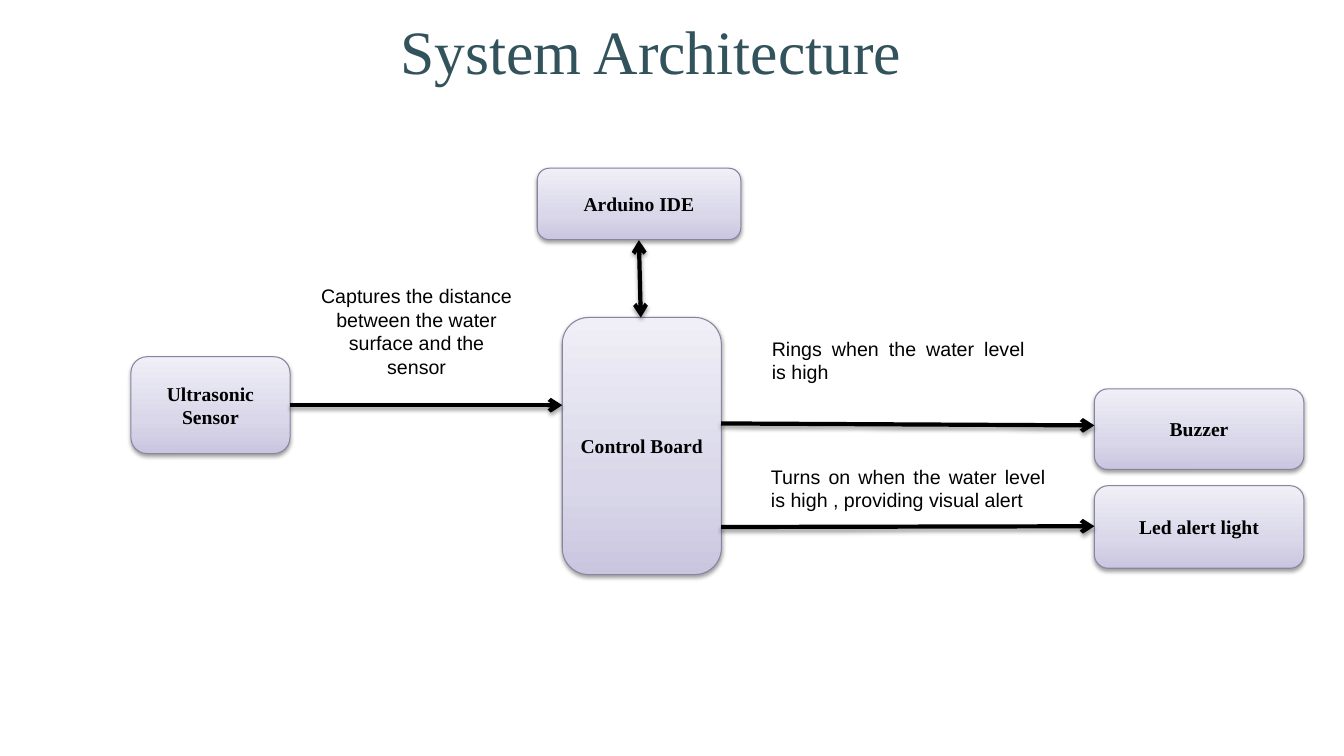
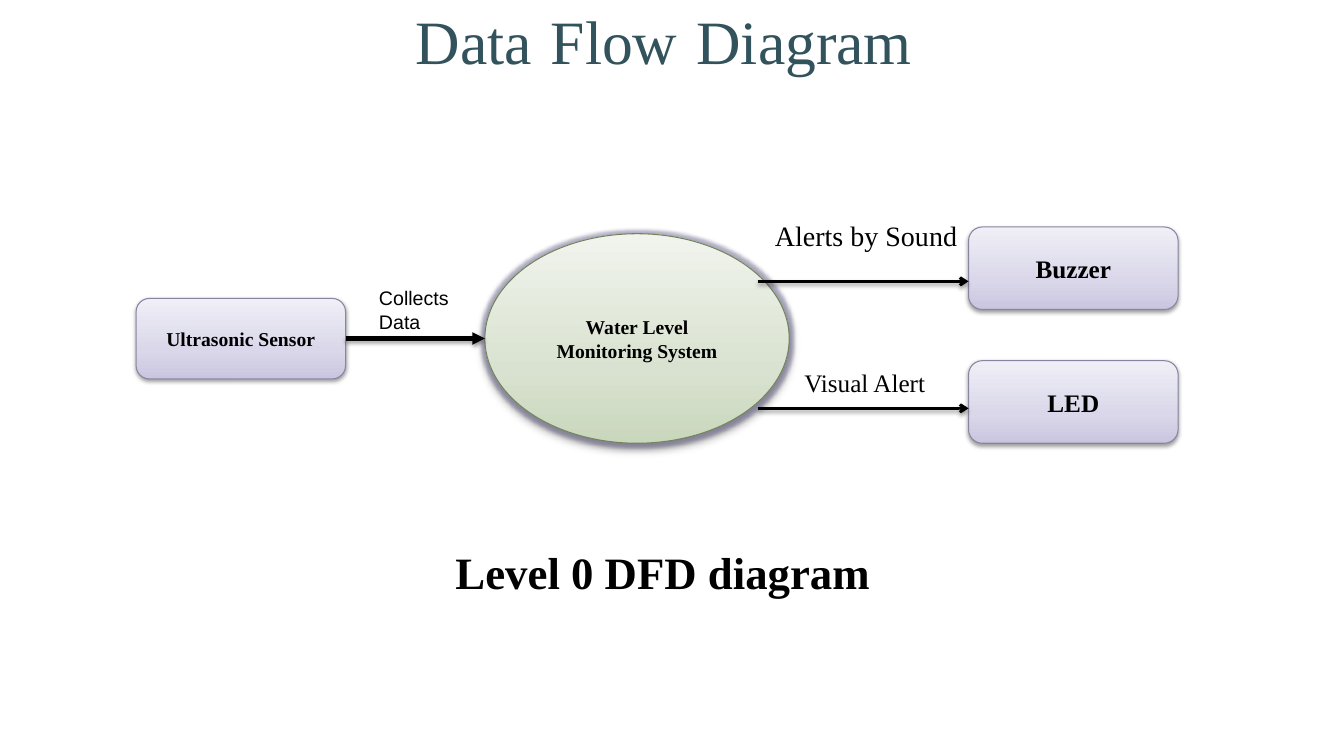
from copy import deepcopy
from pptx import Presentation
from pptx.dml.color import RGBColor
from pptx.enum.shapes import MSO_CONNECTOR as Conn, MSO_SHAPE as Kind
from pptx.enum.text import MSO_ANCHOR as Anchor, MSO_AUTO_SIZE as Fit, PP_ALIGN as Align
from pptx.oxml import parse_xml
from pptx.oxml.ns import nsdecls, qn
from pptx.util import Cm, Pt

SERIF, SANS = "Times New Roman", "Arial"
INK, TEAL = "000000", "32525C"
# Gradient stops from the bottom up, then the outline
LILAC = ("CAC6E0", "D9D7E9", "F0EFF7", "8985A1")
GREEN = ("C9D7BC", "D9E2D0", "F1F4ED", "72835D")
STOPS = (0, 0.35, 1)
GLOW = '<a:glow rad="63500"><a:srgbClr val="6A6590"><a:alpha val="45000"/></a:srgbClr></a:glow>'
SHADE = (
    f'<a:effectLst {nsdecls("a")}>%s'
    '<a:outerShdw blurRad="%d" dist="%d" dir="5400000" rotWithShape="0">'
    '<a:srgbClr val="000000"><a:alpha val="38000"/></a:srgbClr>'
    '</a:outerShdw></a:effectLst>'
)


def tint(code):
    return RGBColor.from_string(code)


def write(frame, text, size=14, font=SERIF, color=INK, bold=False,
          align=Align.LEFT, anchor=Anchor.TOP, wrap=True, lead=None, gap=None):
    """Fill a frame with one paragraph; gap is the size of the word spaces."""
    frame.word_wrap = wrap
    frame.auto_size = Fit.NONE
    frame.vertical_anchor = anchor
    para = frame.paragraphs[0]
    para.alignment = align
    para.line_spacing = lead
    for part in text.replace(" ", "| |").split("|") if gap else [text]:
        run = para.add_run()
        run.text = part
        run.font.name = font
        run.font.size = Pt(gap if part == " " else size)
        run.font.bold = bold
        run.font.color.rgb = tint(color)


BOX, OVAL, ALT = Kind.ROUNDED_RECTANGLE, Kind.OVAL, Kind.FLOWCHART_ALTERNATE_PROCESS
NOTE = dict(font=SANS)
SIDE = dict(font=SANS, align=Align.JUSTIFY)

# Places are left, top, width, height in cm; arrows run from x, y to x, y.
PAGES = [
    dict(
        title="System Architecture", place=(1.45, 0.41, 29.92, 2.01), gap=None,
        boxes=[
            ("Control Board", ALT, (14.17, 8, 4.01, 6.48), 14),
            ("Ultrasonic Sensor", BOX, (3.3, 8.99, 4.01, 2.44), 14),
            ("Buzzer", BOX, (27.58, 9.8, 5.28, 2.03), 14),
            ("Led alert light", BOX, (27.58, 12.24, 5.28, 2.08), 14),
            ("Arduino IDE", BOX, (13.54, 4.24, 5.13, 1.8), 14),
        ],
        arrows=[
            ((7.3, 10.21, 14.17, 10.21), 3, "none", "arrow"),
            ((18.17, 10.67, 27.58, 10.72), 3, "none", "arrow"),
            ((18.17, 13.28, 27.58, 13.26), 3, "none", "arrow"),
            ((16.1, 6.05, 16.15, 8), 3, "arrow", "arrow"),
        ],
        notes=[
            ("Captures the distance between the water surface and the sensor",
             (7.82, 7.04, 5.36, 2.64), dict(font=SANS, align=Align.CENTER)),
            ("Rings when the water level is high", (19.2, 8.36, 6.88, 1.45), SIDE),
            ("Turns on when the water level is high , providing visual alert",
             (19.18, 11.58, 7.42, 1.45), SIDE),
        ],
    ),
    dict(
        title="Data Flow Diagram", place=(-0.2, -1.27, 33.86, 4.65), gap=54,
        boxes=[
            ("Ultrasonic Sensor", BOX, (3.43, 7.52, 5.28, 2.03), 14),
            ("LED", BOX, (24.41, 9.09, 5.28, 2.08), 18),
            ("Buzzer", BOX, (24.41, 5.72, 5.28, 2.08), 18),
            ("Water Level Monitoring System", OVAL, (12.22, 5.89, 7.67, 5.28), 14),
        ],
        arrows=[
            ((8.71, 8.53, 12.22, 8.53), 3, "none", "triangle"),
            ((19.1, 7.09, 24.41, 7.09), 2, "none", "arrow"),
            ((19.1, 10.29, 24.41, 10.29), 2, "none", "arrow"),
        ],
        notes=[
            ("Level 0 DFD diagram", (11.23, 13.59, 11.4, 1.63), dict(size=32, bold=True)),
            ("Collects Data", (9.3, 7.09, 2.34, 1.45), NOTE),
            ("Alerts by Sound", (19.28, 5.38, 5.13, 1.12), dict(size=20, wrap=False)),
            ("Visual Alert", (20.02, 9.12, 3.66, 1.02), dict(size=18, wrap=False)),
        ],
    ),
]

deck = Presentation()
deck.slide_width, deck.slide_height = Cm(33.87), Cm(19.05)

for page in PAGES:
    slide = deck.slides.add_slide(deck.slide_layouts[5])
    shapes = slide.shapes

    title = shapes.title
    title.left, title.top, title.width, title.height = map(Cm, page["place"])
    write(title.text_frame, page["title"], size=44, color=TEAL, align=Align.CENTER,
          anchor=Anchor.MIDDLE, lead=0.85, gap=page["gap"])

    for text, kind, place, size in page["boxes"]:
        box = shapes.add_shape(kind, *map(Cm, place))
        *shades, edge = GREEN if kind == OVAL else LILAC
        box.fill.gradient()
        box.fill.gradient_angle = 90
        stops = box.element.spPr.find(".//" + qn("a:gsLst"))
        stops.append(deepcopy(stops[0]))
        for stop, spot, shade in zip(box.fill.gradient_stops, STOPS, shades):
            stop.position = spot
            stop.color.rgb = tint(shade)
        box.line.color.rgb = tint(edge)
        box.line.width = Pt(0.75)
        look = (GLOW, Pt(4), Pt(3)) if kind == OVAL else ("", Pt(3.1), Pt(1.6))
        box.element.spPr.append(parse_xml(SHADE % look))
        write(box.text_frame, text, size=size, bold=True, align=Align.CENTER,
              anchor=Anchor.MIDDLE)

    for ends, width, head, tail in page["arrows"]:
        arrow = shapes.add_connector(Conn.STRAIGHT, *map(Cm, ends))
        arrow.line.color.rgb = tint(INK)
        arrow.line.width = Pt(width)
        props = arrow._element.spPr
        for tag, tip in (("headEnd", head), ("tailEnd", tail)):
            props.find(qn("a:ln")).append(
                parse_xml(f'<a:{tag} {nsdecls("a")} type="{tip}"/>'))
        props.append(parse_xml(SHADE % ("", Pt(3.1), Pt(1.8))))

    for text, place, form in page["notes"]:
        write(shapes.add_textbox(*map(Cm, place)).text_frame, text, **form)

deck.save("out.pptx")
